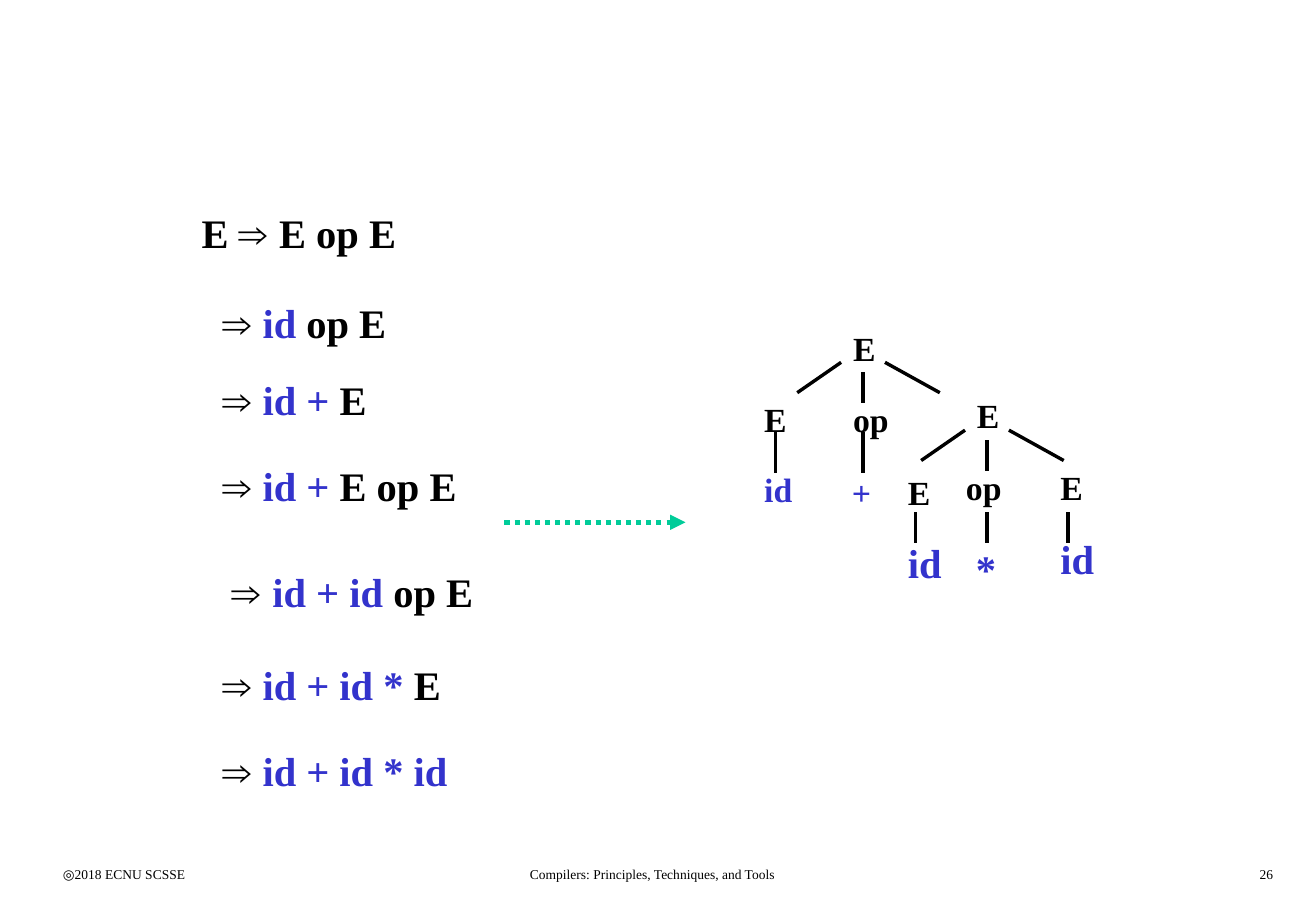
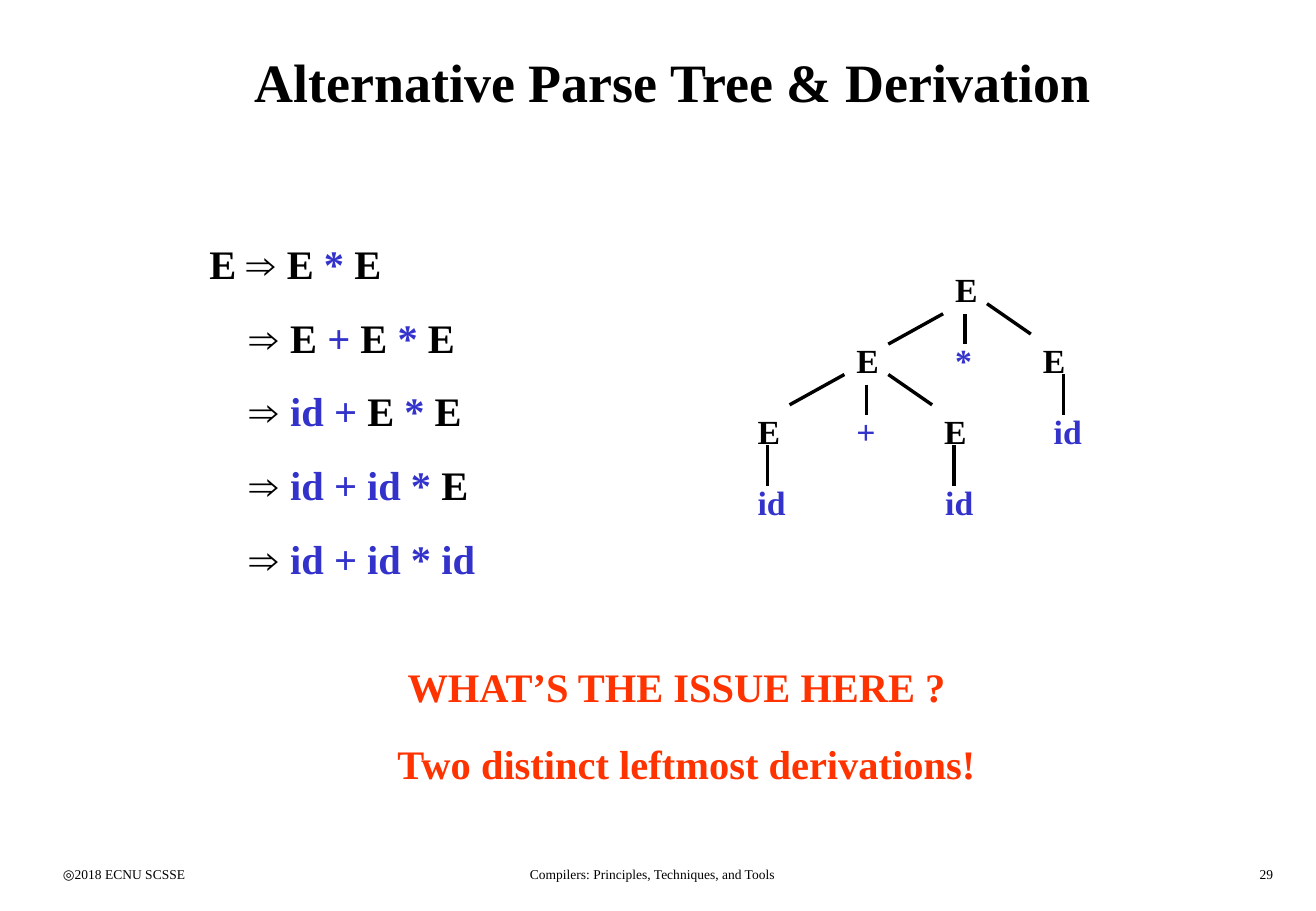
import itertools

import pptx
import pptx.dml.color
import pptx.enum.dml
import pptx.enum.shapes
import pptx.enum.text
import pptx.oxml.ns
import pptx.util
from lxml import etree

RGBColor = pptx.dml.color.RGBColor
BLACK = RGBColor(0x00, 0x00, 0x00)
BLUE = RGBColor(0x33, 0x33, 0xCC)
GREEN = RGBColor(0x00, 0xCC, 0x99)
RED = RGBColor(0xFF, 0x33, 0x00)

SERIF = "Times New Roman"
SANS = "Arial"
TERMINALS = {"id", "+", "*"}

# The slide is a grid of 120 columns and 90 rows
WIDTH = pptx.util.Inches(10.84)
HEIGHT = pptx.util.Inches(7.5)
ALIGN = pptx.enum.text.PP_ALIGN


def col(n):
    return round(WIDTH * n / 120)


def row(n):
    return round(HEIGHT * n / 90)


# Text

def add_run(p, text, size, color=BLACK, font=SERIF, bold=True):
    r = p.add_run()
    r.text = text
    r.font.name = font
    r.font.size = pptx.util.Pt(size)
    r.font.bold = bold
    r.font.color.rgb = color


def add_box(slide, x, y, w, h):
    sp = slide.shapes.add_textbox(col(x), row(y), col(w), row(h))
    tf = sp.text_frame
    tf.word_wrap = True
    return tf


def add_text(slide, text, x, y, w, h, size, color=BLACK, align=ALIGN.LEFT, bold=True):
    p = add_box(slide, x, y, w, h).paragraphs[0]
    p.alignment = align
    add_run(p, text, size, color, bold=bold)


def symbol_style(symbol):
    """Terminals are blue; the derivation arrow is set in the sans font."""
    return (BLUE if symbol in TERMINALS else BLACK,
            SANS if symbol == "⇒" else SERIF)


def add_symbols(p, text, size):
    symbols = text.split()
    spaced = [s + " " for s in symbols[:-1]] + symbols[-1:]
    for (color, font), group in itertools.groupby(
            spaced, key=lambda s: symbol_style(s.strip())):
        add_run(p, "".join(group), size, color, font)


def add_step(p, text, indent):
    """One derivation step; continued steps start with an arrow, indented."""
    if text.startswith("⇒"):
        p._p.get_or_add_pPr().set("marL", str(pptx.util.Pt(indent)))
    add_symbols(p, text, 24)


# Lines

def add_line(slide, x1, y1, x2, y2, color=BLACK, width=2):
    line = slide.shapes.add_connector(
        pptx.enum.shapes.MSO_CONNECTOR.STRAIGHT, col(x1), row(y1), col(x2), row(y2))
    line.line.color.rgb = color
    line.line.width = pptx.util.Pt(width)
    etree.SubElement(line._element.spPr, pptx.oxml.ns.qn("a:effectLst"))
    return line


def add_dotted_arrow(slide, x1, x2, y):
    ln = add_line(slide, x1, y, x2, y, GREEN, 3).line
    ln.dash_style = pptx.enum.dml.MSO_LINE.ROUND_DOT
    etree.SubElement(ln._get_or_add_ln(), pptx.oxml.ns.qn("a:tailEnd"), type="triangle")


# Parse tree

def add_node(slide, symbol, x, y, size=20):
    add_symbols(add_box(slide, x, y, 7, size / 4 + 0.3).paragraphs[0], symbol, size)


def add_stem(slide, x, y, length):
    add_line(slide, x, y, x, y + length)


def add_fan(slide, x, y, left, right, left_drop=0):
    """Three branches below a node, reaching left and right of column x."""
    add_line(slide, x - 2, y + left_drop, x - left, y + left_drop + 3)
    add_stem(slide, x, y + 1, 3)
    add_line(slide, x + 2, y, x + right, y + 3)


def add_tree(slide, nodes, stems, fans):
    for node in nodes:
        add_node(slide, *node)
    for stem in stems:
        add_stem(slide, *stem)
    for fan in fans:
        add_fan(slide, *fan)


# Shared parts

def add_footer(slide, number):
    for text, x, w, align in (
            ("◎2018 ECNU SCSSE", 4.65, 25, ALIGN.LEFT),
            ("Compilers: Principles, Techniques, and Tools", 37, 45, ALIGN.CENTER),
            (str(number), 92.2, 25, ALIGN.RIGHT)):
        add_text(slide, text, x, 85, w, 3, 8, align=align, bold=False)


def add_slide(prs, number, title=None):
    slide = prs.slides.add_slide(prs.slide_layouts[5 if title else 6])
    if title:
        sp = slide.shapes.title
        sp.left, sp.top, sp.width, sp.height = col(4.65), row(2), col(113.5), row(12)
        tf = sp.text_frame
        tf.auto_size = pptx.enum.text.MSO_AUTO_SIZE.NONE
        tf.vertical_anchor = pptx.enum.text.MSO_ANCHOR.MIDDLE
        tf.paragraphs[0].alignment = ALIGN.CENTER
        add_run(tf.paragraphs[0], title, 32)
    add_footer(slide, number)
    return slide


# Slides

def build_derivation(prs):
    slide = add_slide(prs, 26)
    for text, x, y in (
            ("E ⇒ E op E", 17.3, 20),
            ("⇒ id op E", 16.4, 28.9),
            ("⇒ id + E", 16.4, 36.5),
            ("⇒ id + E op E", 16.4, 45),
            ("⇒ id + id op E", 17.3, 55.4),
            ("⇒ id + id * E", 16.4, 64.6),
            ("⇒ id + id * id", 16.4, 73.1)):
        add_step(add_box(slide, x, y, 30, 6).paragraphs[0], text, 18)
    add_dotted_arrow(slide, 46, 62.5, 51.6)
    add_tree(
        slide,
        nodes=[("E", 76.7, 31.8),
               ("E", 68.6, 38.8), ("op", 76.7, 38.8), ("E", 88, 38.4),
               ("id", 68.6, 45.7), ("+", 76.6, 46),
               ("E", 81.7, 46), ("op", 87, 45.5), ("E", 95.6, 45.5),
               ("id", 81.7, 52.6, 24), ("*", 87.9, 53.2, 24), ("id", 95.6, 52.2, 24)],
        stems=[(70.7, 42.7, 4), (78.7, 42.7, 4),
               (83.5, 50.6, 3), (90, 50.6, 3), (97.4, 50.6, 3)],
        fans=[(78.7, 35.8, 6, 7), (90, 42.5, 6, 7)])


def build_alternative(prs):
    slide = add_slide(prs, 29, "Alternative Parse Tree & Derivation")
    tf = add_box(slide, 18, 23, 38, 35.3)
    for i, text in enumerate((
            "E ⇒ E * E",
            "⇒ E + E * E",
            "⇒ id + E * E",
            "⇒ id + id * E",
            "⇒ id + id * id")):
        p = tf.add_paragraph() if i else tf.paragraphs[0]
        if i:
            p.space_before = pptx.util.Pt(15)
        add_step(p, text, 24)
    add_tree(
        slide,
        nodes=[("E", 86, 26),
               ("E", 77, 33), ("*", 86, 33), ("E", 94, 33),
               ("E", 68, 40), ("+", 77, 40), ("E", 85, 40), ("id", 95, 40),
               ("id", 68, 47), ("id", 85.1, 47)],
        stems=[(97, 37, 4), (70, 44, 4), (87, 44, 4)],
        fans=[(88, 30, 7, 6, 1), (79, 37, 7, 6)])
    for text, x, y in (("WHAT’S THE ISSUE HERE ?", 24.2, 64.8),
                       ("Two distinct leftmost derivations!", 25.1, 72.4)):
        add_text(slide, text, x, y, 75, 6, 24, RED, ALIGN.CENTER)


def main():
    prs = pptx.Presentation()
    prs.slide_width, prs.slide_height = WIDTH, HEIGHT
    build_derivation(prs)
    build_alternative(prs)
    prs.save("out.pptx")


if __name__ == "__main__":
    main()
